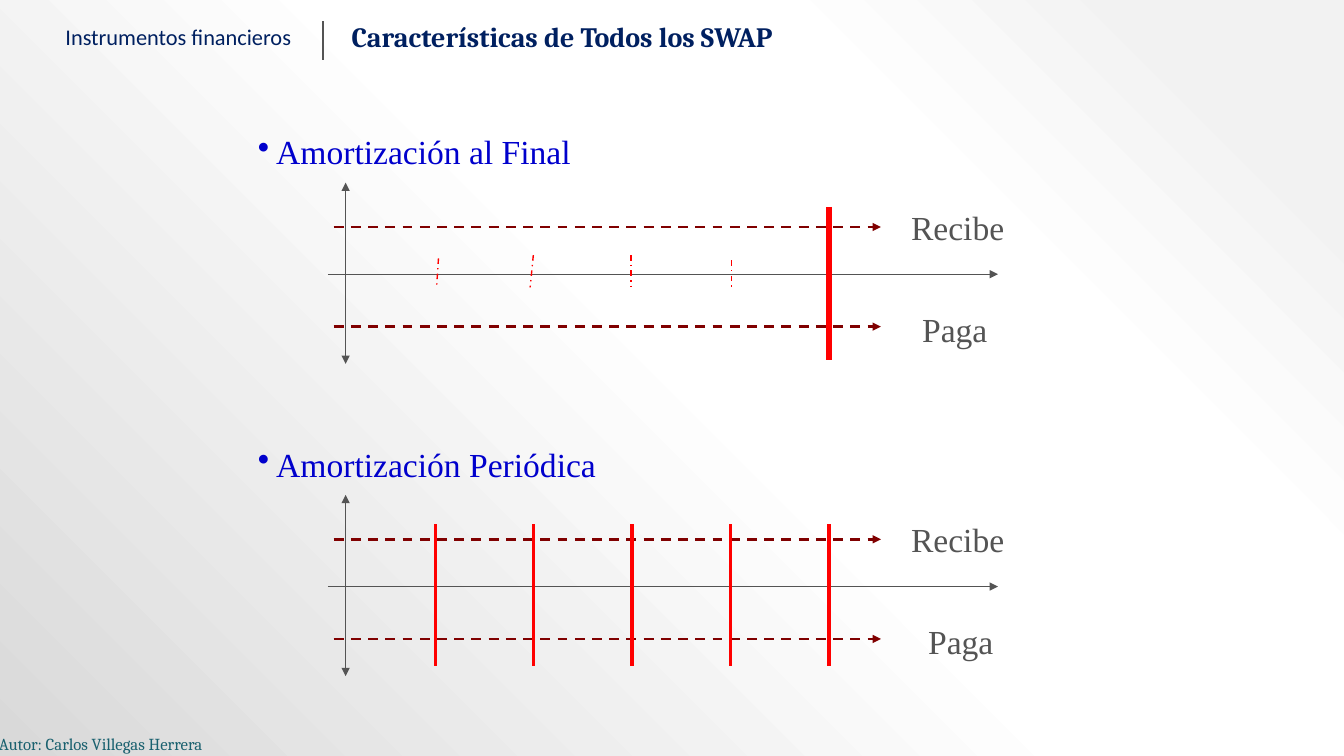
from lxml import etree
from pptx import Presentation, util as u
from pptx.dml.color import RGBColor
from pptx.enum import dml, shapes, text
from pptx.oxml import ns

GREY, MAROON, RED, BLUE, NAVY, TEAL = "545454", "800000", "FF0000", "0000CC", "002060", "1A616F"
SERIF = "Times New Roman"
BACKDROP = ((10, "F2F2F2"), (28, "FFFFFF"), (48, "FFFFFF"), (100, "D9D9D9"))
BAR_START, BAR_PITCH, BAR_COUNT = 4.72, 2.48, 5
TICKS = ((4.8, 3.33, 4.75, 4.09), (7.19, 3.25, 7.11, 4.06),
         (9.65, 3.25, 9.65, 4.04), (12.19, 3.38, 12.19, 4.04))


def rgb(value):
    """Turn a hex string into a colour."""
    return RGBColor.from_string(value)


def add_xml(parent, tag, **values):
    """Append a DrawingML element and return it."""
    return etree.SubElement(parent, ns.qn(tag), **values)


def add_line(page, ends, color, width, dash=None, arrows=()):
    """Draw a straight line between two points in centimetres."""
    line = page.shapes.add_connector(shapes.MSO_CONNECTOR.STRAIGHT, *map(u.Cm, ends))
    line.line.color.rgb = rgb(color)
    line.line.width = u.Pt(width)
    if dash:
        line.line.dash_style = dash
    for arrow in arrows:
        add_xml(line.line._get_or_add_ln(), arrow, type="triangle")
    add_xml(line._element.spPr, "a:effectLst")


def add_text(page, place, words, font, size, color, bold=False, frame=None, align=None):
    """Add a one-paragraph text box and return the paragraph."""
    box = page.shapes.add_textbox(*map(u.Cm, place))
    layout = {"word_wrap": False, "auto_size": text.MSO_AUTO_SIZE.SHAPE_TO_FIT_TEXT}
    for name, value in (frame or layout).items():
        setattr(box.text_frame, name, value)
    para = box.text_frame.paragraphs[0]
    para.alignment = align
    span = para.add_run()
    span.text = words
    for name, value in {"name": font, "size": u.Pt(size), "bold": bold}.items():
        setattr(span.font, name, value)
    span.font.color.rgb = rgb(color)
    return para


def paint_background(page):
    """Fill the page with a gradient that spreads from the top right."""
    page.background.fill.gradient()
    gradient = page._element.find(".//" + ns.qn("a:gradFill"))
    for child in list(gradient):
        gradient.remove(child)
    stops = add_xml(gradient, "a:gsLst")
    for position, color in BACKDROP:
        stop = add_xml(stops, "a:gs", pos=str(position * 1000))
        add_xml(stop, "a:srgbClr", val=color)
    spread = add_xml(gradient, "a:path", path="circle")
    add_xml(spread, "a:fillToRect", l="100000", b="100000")


def add_header(page, left, top, height):
    """Place the section name, the divider and the title."""
    frame = {"word_wrap": True, "vertical_anchor": text.MSO_ANCHOR.MIDDLE}
    add_text(page, (left, top, 7.11, height), "Instrumentos financieros", "Calibri", 16, NAVY,
             frame=frame, align=text.PP_ALIGN.CENTER)
    divider = left + 7.19
    add_line(page, (divider, top + 0.2, divider, top + height), GREY, 1.5)
    add_text(page, (left + 7.67, top, 13.87, height), "Características de Todos los SWAP",
             "Cambria", 20, NAVY, bold=True, frame=frame)


def add_diagram(page, left, top, heading, width, paga_left, marks):
    """Place one cash-flow diagram; marks hold ends, line width and dash."""
    def shift(ends):
        return [value + (left, top)[i % 2] for i, value in enumerate(ends)]

    para = add_text(page, (left, top, width, 1.28), heading, SERIF, 24, BLUE)
    settings = para._p.get_or_add_pPr()
    settings.set("marL", str(u.Cm(0.46)))
    settings.set("indent", str(-u.Cm(0.46)))
    add_xml(settings, "a:buChar", char="•")

    add_line(page, shift((2.01, 3.73, 18.9, 3.73)), GREY, 0.75, arrows=["a:tailEnd"])
    for flow in (2.54, 5.05):
        add_line(page, shift((2.16, flow, 15.95, flow)), MAROON, 1.75,
                 dml.MSO_LINE.DASH, ["a:tailEnd"])
    add_line(page, shift((2.46, 5.99, 2.46, 1.42)), GREY, 0.75,
             arrows=["a:headEnd", "a:tailEnd"])
    for ends, weight, dash in marks:
        add_line(page, shift(ends), RED, weight, dash)
    for words, x, y, label_width in (("Recibe", 16.46, 1.9, 2.9), ("Paga", paga_left, 4.47, 2.18)):
        add_text(page, (left + x, top + y, label_width, 1.28), words, SERIF, 24, GREY)


def main():
    """Build the slide and save it."""
    deck = Presentation()
    deck.slide_width, deck.slide_height = u.Cm(33.87), u.Cm(19.05)
    page = deck.slides.add_slide(deck.slide_layouts[6])
    paint_background(page)
    add_header(page, 0.94, 0.33, 1.19)

    bars = [BAR_START + BAR_PITCH * i for i in range(BAR_COUNT)]
    final = [(ends, 1, dml.MSO_LINE.DASH_DOT) for ends in TICKS]
    final.append(((bars[-1], 2.03, bars[-1], 5.89), 4, None))
    periodic = [((x, 2.16, x, 5.74), 2.5, None) for x in bars]
    add_diagram(page, 6.25, 3.18, "Amortización al Final", 8.46, 16.74, final)
    add_diagram(page, 6.25, 11.05, "Amortización Periódica", 9.12, 16.89, periodic)

    add_text(page, (-0.28, 18.36, 5.97, 0.77), "Autor: Carlos Villegas Herrera",
             "Cambria", 12, TEAL)
    deck.save("out.pptx")


if __name__ == "__main__":
    main()
